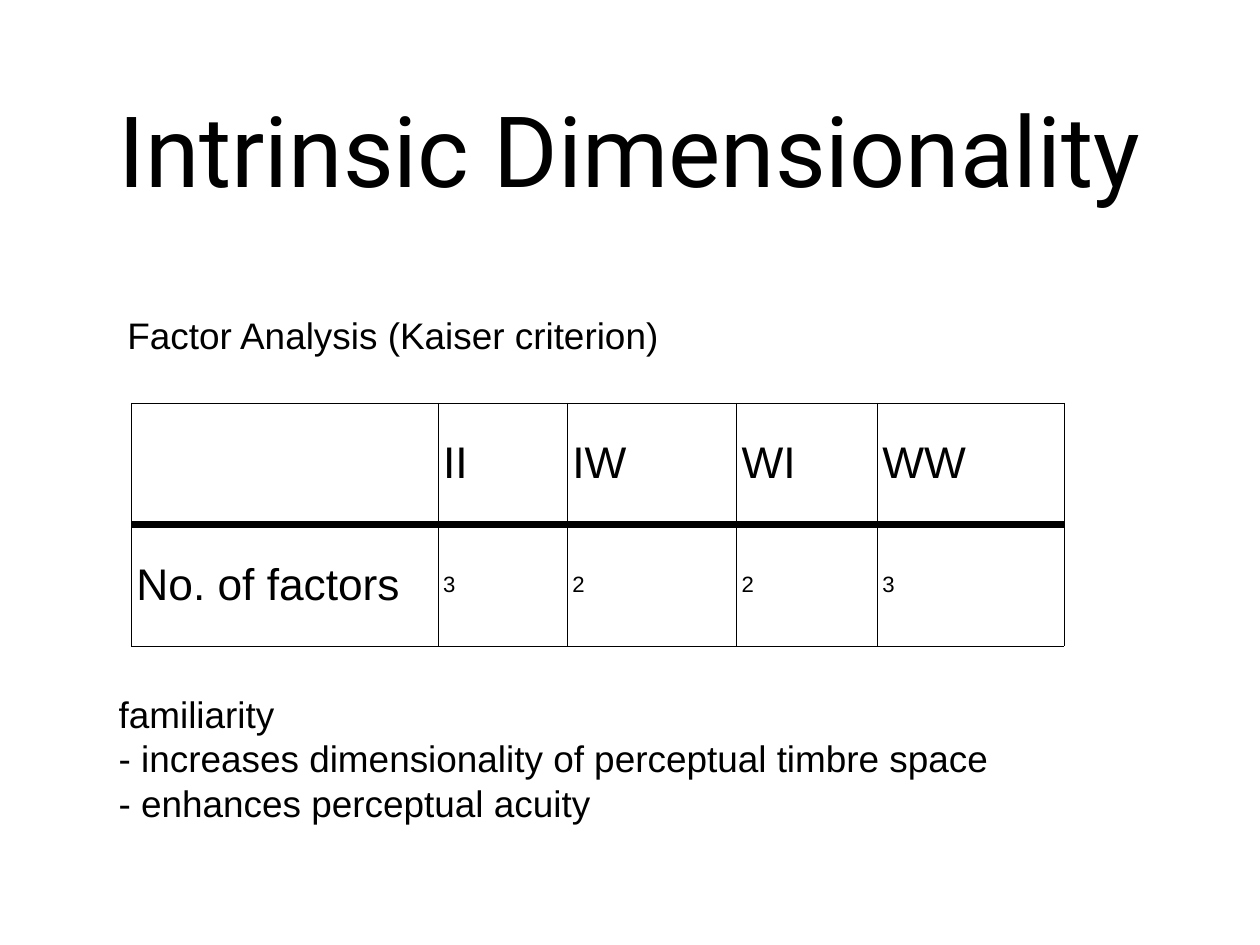
from lxml import etree
from pptx import Presentation
from pptx import util as u
from pptx.dml.color import RGBColor
from pptx.enum import text
from pptx.oxml import ns

COLOURS = {"ink": "000000", "paper": "FFFFFF"}
HAIRLINE, RULE = 0.06, 6


def write(frame, words, size, font="Arial", align=text.PP_ALIGN.LEFT,
          anchor=text.MSO_ANCHOR.TOP, side=0.1):
    """Fill a text frame with one paragraph per line of words."""
    frame.word_wrap = True
    frame.auto_size = text.MSO_AUTO_SIZE.NONE
    frame.vertical_anchor = anchor
    frame.margin_left = frame.margin_right = u.Inches(side)
    frame.margin_top = frame.margin_bottom = u.Inches(0.05)
    frame.text = words
    for paragraph in frame.paragraphs:
        paragraph.alignment = align
        paragraph.space_before = u.Pt(0)
        paragraph.font.size = u.Pt(size)
        paragraph.font.name = font
        paragraph.font.color.rgb = RGBColor.from_string(COLOURS["ink"])


def add_borders(cell, top, bottom):
    """Draw the four cell borders, with widths in points."""
    properties = cell._tc.get_or_add_tcPr()
    widths = {"lnL": HAIRLINE, "lnR": HAIRLINE, "lnT": top, "lnB": bottom}
    for position, (side, width) in enumerate(widths.items()):
        line = etree.Element(ns.qn(f"a:{side}"), w=str(u.Pt(width)))
        fill = etree.SubElement(line, ns.qn("a:solidFill"))
        etree.SubElement(fill, ns.qn("a:srgbClr"), val=COLOURS["ink"])
        properties.insert(position, line)


deck = Presentation()
deck.slide_width, deck.slide_height = u.Inches(14.22), u.Inches(10.67)
slide = deck.slides.add_slide(deck.slide_layouts[5])
slide.background.fill.solid()
slide.background.fill.fore_color.rgb = RGBColor.from_string(COLOURS["paper"])

# Title
title = slide.shapes.title
title.left, title.top = u.Inches(1.04), u.Inches(0.49)
title.width, title.height = u.Inches(12.14), u.Inches(2.36)
write(title.text_frame, "Intrinsic Dimensionality", 80, font="Roboto",
      align=text.PP_ALIGN.CENTER, anchor=text.MSO_ANCHOR.MIDDLE)

# Table of factor counts
rows = [["", "II", "IW", "WI", "WW"],
        ["No. of factors", "3", "2", "2", "3"]]
column_widths = [3.46, 1.46, 1.91, 1.59, 2.11]
factors = slide.shapes.add_table(
    len(rows), len(column_widths), u.Inches(1.48), u.Inches(4.55),
    u.Inches(sum(column_widths)), u.Inches(2.74)).table
factors.first_row = factors.horz_banding = False
for column, width in zip(factors.columns, column_widths):
    column.width = u.Inches(width)
for r, labels in enumerate(rows):
    factors.rows[r].height = u.Inches(1.37)
    for c, label in enumerate(labels):
        cell = factors.cell(r, c)
        write(cell.text_frame, label, 18 if label.isdigit() else 36)
        cell.vertical_anchor = text.MSO_ANCHOR.MIDDLE
        cell.margin_left = cell.margin_right = u.Inches(0.06)
        cell.margin_top = cell.margin_bottom = u.Inches(0.05)
        cell.fill.background()
        add_borders(cell, top=RULE if r else HAIRLINE,
                    bottom=HAIRLINE if r else RULE)

# Heading above the table and findings below it
notes = [
    ((1.34, 3.48, 9.8, 0.65), "Factor Analysis (Kaiser criterion)"),
    ((1.24, 7.76, 10.48, 1.68),
     "familiarity\n"
     "- increases dimensionality of perceptual timbre space\n"
     "- enhances perceptual acuity"),
]
for place, words in notes:
    note = slide.shapes.add_textbox(*map(u.Inches, place))
    write(note.text_frame, words, 30)

deck.save("out.pptx")
